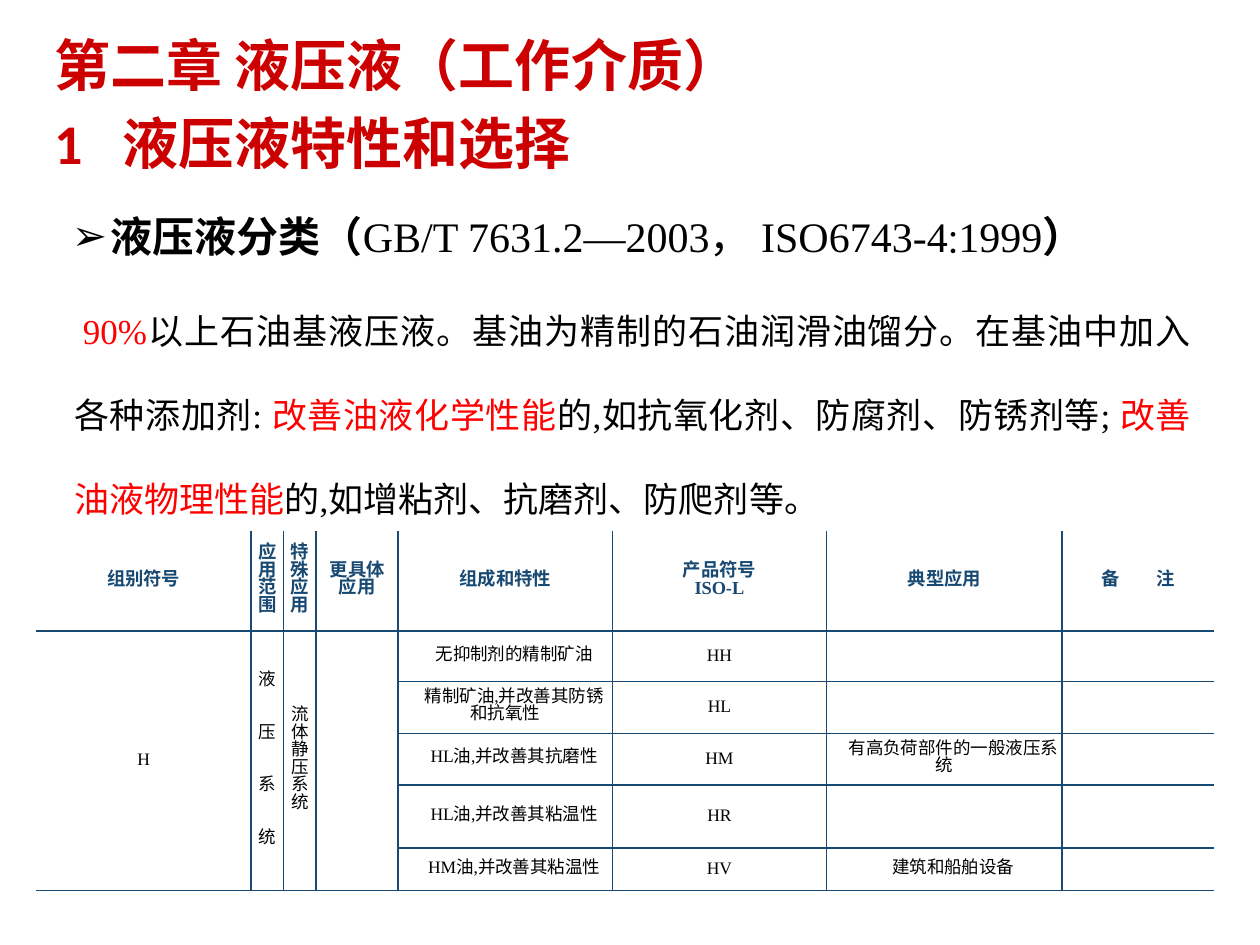
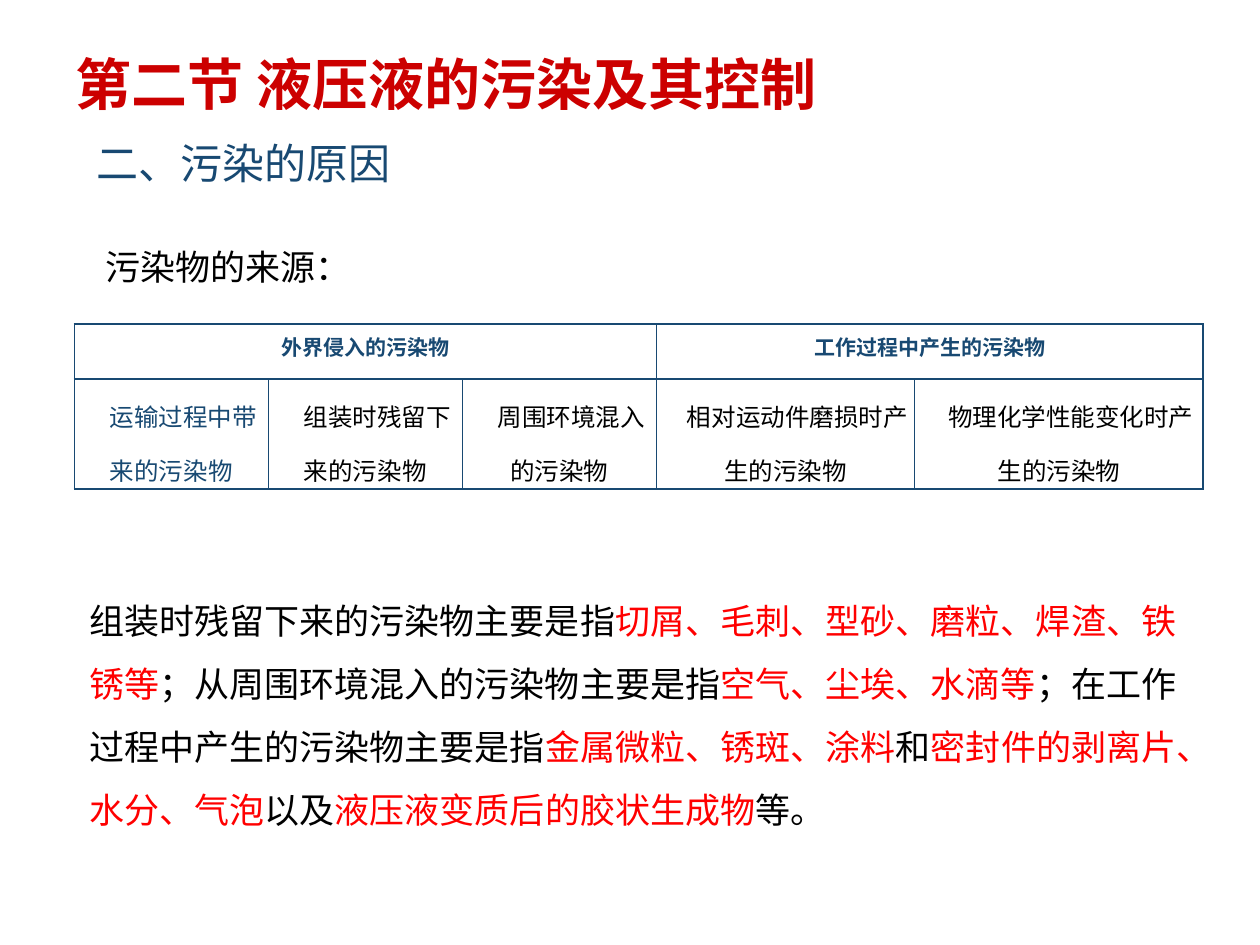
from lxml.etree import SubElement
from pptx import Presentation
from pptx.dml.color import RGBColor
from pptx.enum.text import MSO_ANCHOR, MSO_AUTO_SIZE, PP_ALIGN
from pptx.oxml.ns import qn
from pptx.util import Inches, Pt

RED = RGBColor(0xCC, 0x00, 0x00)
HOT = RGBColor(0xFF, 0x00, 0x00)
NAVY = RGBColor(0x18, 0x49, 0x72)
BLACK = RGBColor(0x00, 0x00, 0x00)
WHITE = RGBColor(0xFF, 0xFF, 0xFF)
SERIF = "Times New Roman"


def add_run(para, text, size, color=BLACK, bold=False, face=SERIF):
    run = para.add_run()
    run.text = text
    font = run.font
    font.size, font.bold, font.name = Pt(size), bold, face
    font.color.rgb = color
    return run


def indent(para, left, first):
    props = para._p.get_or_add_pPr()
    props.set("marL", str(Inches(left)))
    props.set("indent", str(Inches(first)))
    return props


def place(shape, left, top, width, height):
    shape.left, shape.top = Inches(left), Inches(top)
    shape.width, shape.height = Inches(width), Inches(height)
    frame = shape.text_frame
    frame.word_wrap = True
    frame.auto_size = MSO_AUTO_SIZE.NONE
    frame.vertical_anchor = MSO_ANCHOR.TOP
    return frame


def add_title(slide, lines, *spot):
    frame = place(slide.shapes.title, *spot)
    for i, line in enumerate(lines):
        para = frame.add_paragraph() if i else frame.paragraphs[0]
        indent(para, 0.54, -0.54)
        para.alignment = PP_ALIGN.LEFT
        para.space_before = Pt(6.4 if i else 0)
        add_run(para, line, 32, RED, True, "Calibri")


def add_point(slide, parts, *spot):
    para = place(slide.placeholders[1], *spot).paragraphs[0]
    props = indent(para, 0.31, -0.31)
    para.space_before = Pt(0)
    SubElement(props, qn("a:buFont")).set("typeface", "Arial")
    SubElement(props, qn("a:buChar")).set("char", "➢")
    for text, bold, face in parts:
        add_run(para, text, 24, BLACK, bold, face)


def add_text(slide, parts, spot, size=20, space=1.0, align=PP_ALIGN.LEFT):
    box = slide.shapes.add_textbox(0, 0, 0, 0)
    para = place(box, *spot).paragraphs[0]
    para.line_spacing, para.alignment = space, align
    for text, color in parts:
        add_run(para, text, size, color)
    return para


def set_edge(cell, side, color):
    props = cell._tc.get_or_add_tcPr()
    line = SubElement(props, qn("a:ln" + side), w=str(Pt(1)))
    fill = SubElement(line, qn("a:solidFill"))
    SubElement(fill, qn("a:srgbClr")).set("val", str(color))


def add_grid(slide, left, top, cols, rows, open_frame):
    shape = slide.shapes.add_table(
        len(rows), len(cols), Inches(left), Inches(top),
        Inches(sum(cols)), Inches(sum(rows)))
    grid = shape.table
    grid.first_row = grid.horz_banding = False
    for col, width in zip(grid.columns, cols):
        col.width = Inches(width)
    for row, height in zip(grid.rows, rows):
        row.height = Inches(height)
    for r in range(len(rows)):
        for c in range(len(cols)):
            cell = grid.cell(r, c)
            cell.margin_left = cell.margin_right = 0
            cell.margin_top = cell.margin_bottom = 0
            cell.vertical_anchor = MSO_ANCHOR.MIDDLE
            bare = {"L": c == 0, "R": c == len(cols) - 1, "T": r == 0, "B": False}
            for side in "LRTB":
                set_edge(cell, side, WHITE if open_frame and bare[side] else NAVY)
            cell.fill.background()
    return grid


def fill_cell(cell, lines, size, space, color=BLACK, bold=False, gap=0, pad=0, first=0):
    cell.margin_left = cell.margin_right = Inches(pad)
    frame = cell.text_frame
    for i, line in enumerate(lines):
        para = frame.add_paragraph() if i else frame.paragraphs[0]
        indent(para, 0, first)
        para.alignment, para.line_spacing = PP_ALIGN.CENTER, space
        para.space_before = Pt(gap if i else 0)
        add_run(para, line, size, color, bold)


def add_oils(slide):
    grid = add_grid(slide, 0.29, 4.22, [1.7, 0.26, 0.26, 0.65, 1.7, 1.7, 1.87, 1.2],
                    [0.79, 0.4, 0.41, 0.41, 0.5, 0.34], True)
    heads = [["组别符号"], ["应用范围"], ["特殊应用"], ["更具体", "应用"],
             ["组成和特性"], ["产品符号", "ISO-L"], ["典型应用"], ["备"]]
    for c, lines in enumerate(heads):
        fill_cell(grid.cell(0, c), lines, 10.5, Pt(10), NAVY, True)
    note = grid.cell(0, 7).text_frame.paragraphs[0]
    note.runs[0].font._element.set("spc", "2100")
    add_run(note, "注", 10.5, NAVY, True)

    for c in range(4):
        grid.cell(1, c).merge(grid.cell(5, c))
    fill_cell(grid.cell(1, 0), ["H"], 10, Pt(10))
    fill_cell(grid.cell(1, 1), "液压系统", 10, Pt(10), gap=20)
    fill_cell(grid.cell(1, 2), ["流 体 静 压 系 统"], 10, Pt(10))

    oils = [("无抑制剂的精制矿油", "HH", ""),
            ("精制矿油,并改善其防锈和抗氧性", "HL", ""),
            ("HL油,并改善其抗磨性", "HM", "有高负荷部件的一般液压系统"),
            ("HL油,并改善其粘温性", "HR", ""),
            ("HM油,并改善其粘温性", "HV", "建筑和船舶设备")]
    for r, (blend, code, use) in enumerate(oils, 1):
        fill_cell(grid.cell(r, 4), [blend], 10, Pt(10), pad=0.03, first=0.14)
        fill_cell(grid.cell(r, 5), [code], 10, Pt(10))
        if use:
            fill_cell(grid.cell(r, 6), [use], 10, Pt(10), pad=0.03, first=0.14)


def add_dirt(slide):
    grid = add_grid(slide, 0.59, 2.57, [1.54, 1.54, 1.54, 2.05, 2.29], [0.44, 0.87], False)
    for start, end, head in [(0, 2, "外界侵入的污染物"), (3, 4, "工作过程中产生的污染物")]:
        grid.cell(0, start).merge(grid.cell(0, end))
        fill_cell(grid.cell(0, start), [head], 12, Pt(12), NAVY, True)
    kinds = ["运输过程中带来的污染物", "组装时残留下来的污染物", "周围环境混入的污染物",
             "相对运动件磨损时产生的污染物", "物理化学性能变化时产生的污染物"]
    for c, kind in enumerate(kinds):
        fill_cell(grid.cell(1, c), [kind], 14, 1.5, BLACK if c else NAVY, pad=0.04, first=0.19)


def add_types(deck):
    slide = deck.slides.add_slide(deck.slide_layouts[1])
    add_title(slide, ["第二章 液压液（工作介质）", "1\t液压液特性和选择"], 0.33, 0.19, 9.34, 1.25)
    add_oils(slide)
    add_point(slide, [("液压液分类（", True, "Arial"),
                      ("GB/T 7631.2—2003， ISO6743-4∶1999", False, SERIF),
                      ("）", True, "Arial")], 0.47, 1.62, 9.06, 0.51)
    para = add_text(slide, [
        ("90%", HOT),
        ("以上石油基液压液。基油为精制的石油润滑油馏分。在基油中加入各种添加剂: ", BLACK),
        ("改善油液化学性能", HOT),
        ("的,如抗氧化剂、防腐剂、防锈剂等; ", BLACK),
        ("改善油液物理性能", HOT),
        ("的,如增粘剂、抗磨剂、防爬剂等。", BLACK),
    ], (0.49, 2.07, 9.06, 2.01), space=2.0, align=PP_ALIGN.JUSTIFY)
    indent(para, 0, 0.07)


def add_cause(deck):
    slide = deck.slides.add_slide(deck.slide_layouts[5])
    add_title(slide, ["第二节 液压液的污染及其控制"], 0.5, 0.34, 8.35, 0.64)
    add_text(slide, [("二、污染的原因", NAVY)], (0, 1.04, 3.87, 0.51), 24,
             align=PP_ALIGN.CENTER)
    add_text(slide, [("污染物的来源：", BLACK)], (0.74, 1.73, 8.82, 0.54), space=1.5)
    add_text(slide, [
        ("组装时残留下来的污染物主要是指", BLACK),
        ("切屑、毛刺、型砂、磨粒、焊渣、铁锈等", HOT),
        ("；从周围环境混入的污染物主要是指", BLACK),
        ("空气、尘埃、水滴等", HOT),
        ("；在工作过程中产生的污染物主要是指", BLACK),
        ("金属微粒、锈斑、涂料", HOT),
        ("和", BLACK),
        ("密封件的剥离片、水分、气泡", HOT),
        ("以及", BLACK),
        ("液压液变质后的胶状生成物", HOT),
        ("等。", BLACK),
    ], (0.61, 4.54, 9.08, 2.06), space=1.5)
    add_dirt(slide)


def main():
    deck = Presentation()
    deck.slide_width, deck.slide_height = Inches(10), Inches(7.5)
    add_types(deck)
    add_cause(deck)
    deck.save("out.pptx")


if __name__ == "__main__":
    main()
